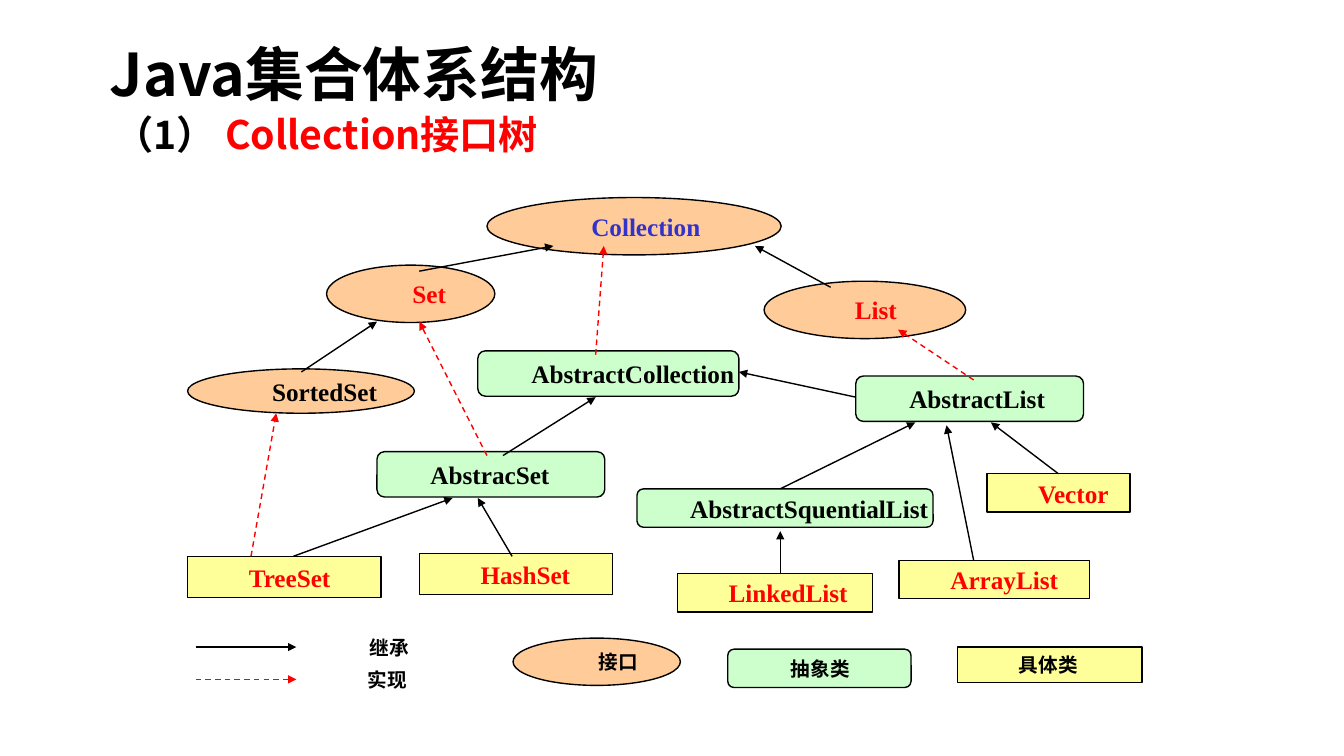
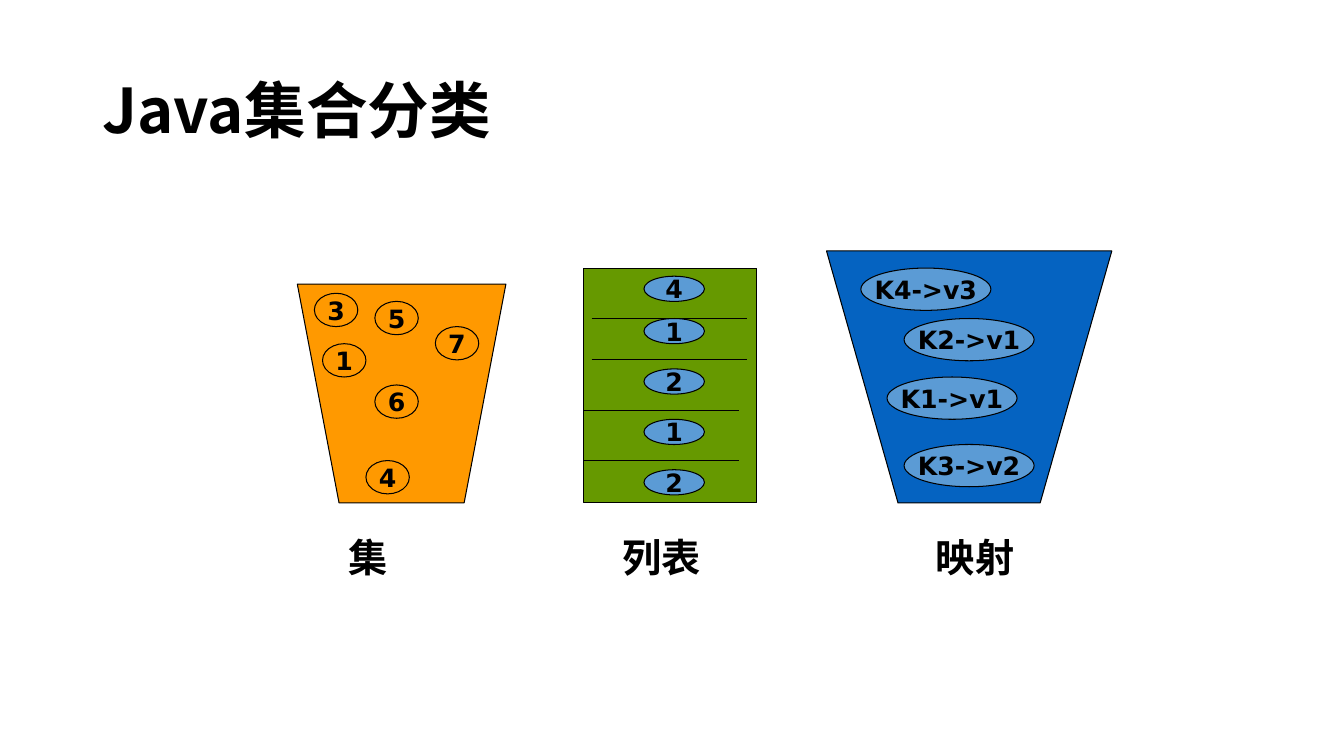
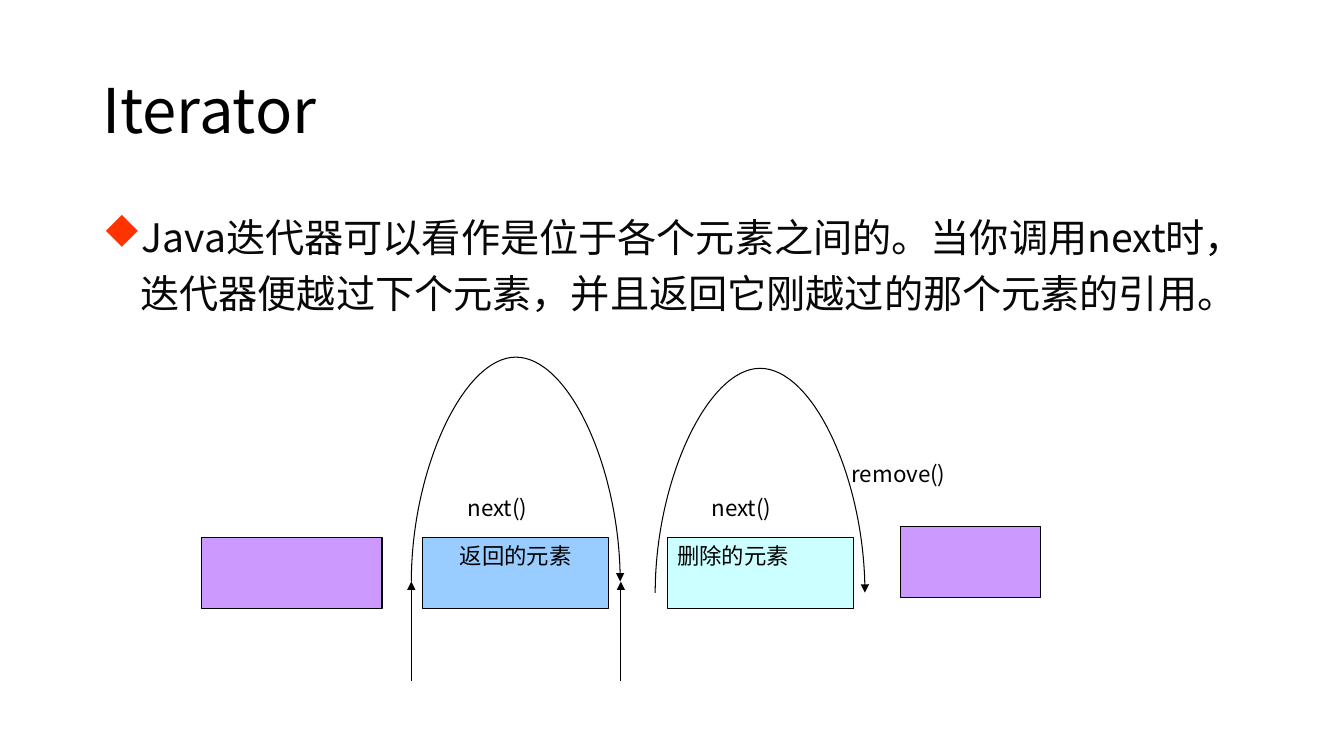
"""Build three slides about the Java collection classes and the iterator."""
from lxml.etree import SubElement
from pptx import Presentation
from pptx.dml.color import RGBColor
from pptx.enum.dml import MSO_LINE
from pptx.enum.shapes import MSO_CONNECTOR, MSO_SHAPE
from pptx.enum.text import MSO_ANCHOR, MSO_AUTO_SIZE, PP_ALIGN
from pptx.oxml.ns import qn
from pptx.util import Pt

BLACK = RGBColor(0x00, 0x00, 0x00)
WHITE = RGBColor(0xFF, 0xFF, 0xFF)
RED = RGBColor(0xFF, 0x00, 0x00)
INDIGO = RGBColor(0x33, 0x33, 0xCC)
PEACH = RGBColor(0xFF, 0xCC, 0x99)
MINT = RGBColor(0xCC, 0xFF, 0xCC)
YELLOW = RGBColor(0xFF, 0xFF, 0x99)
ORANGE = RGBColor(0xFF, 0x99, 0x00)
GREEN = RGBColor(0x66, 0x99, 0x00)
BLUE = RGBColor(0x05, 0x63, 0xC1)
SKY = RGBColor(0x5B, 0x9B, 0xD5)
PURPLE = RGBColor(0xCC, 0x99, 0xFF)
PALE_BLUE = RGBColor(0x99, 0xCC, 0xFF)
PALE_CYAN = RGBColor(0xCC, 0xFF, 0xFF)
INK = RGBColor(0x08, 0x08, 0x08)
BULLET_RED = RGBColor(0xFF, 0x33, 0x00)

SANS, SERIF, DEJAVU = "Noto Sans CJK SC", "Times New Roman", "DejaVu Sans"
BULLET_FONT, DIAMOND = "Wingdings", "u"
LEFT, CENTER, JUSTIFY = PP_ALIGN.LEFT, PP_ALIGN.CENTER, PP_ALIGN.JUSTIFY
OVAL, RECTANGLE = MSO_SHAPE.OVAL, MSO_SHAPE.RECTANGLE

INTERFACE = (OVAL, PEACH)
ABSTRACT = (MSO_SHAPE.ROUNDED_RECTANGLE, MINT)
CONCRETE = (RECTANGLE, YELLOW)
NORMAL, SIDELESS, NO_INSET = (7.2, 3.6), (0, 3.6), (0, 0)

TYPES = [
    ("Collection", INTERFACE, (347.8, 141.1, 210.2, 41), INDIGO, 18, NORMAL),
    ("Set", INTERFACE, (233.3, 189.4, 120.2, 41), RED, 18, NORMAL),
    ("List", INTERFACE, (545.8, 200.9, 144, 41), RED, 18, NORMAL),
    ("SortedSet", INTERFACE, (134, 263.5, 162, 31.7), BLACK, 18, NO_INSET),
    ("AbstractCollection", ABSTRACT, (341.3, 250.6, 186.5, 32.4), BLACK, 18, SIDELESS),
    ("AbstractList", ABSTRACT, (611.3, 268.6, 162.7, 32.4), BLACK, 18, SIDELESS),
    ("AbstracSet", ABSTRACT, (269.3, 322.6, 162.7, 32.4), BLACK, 18, SIDELESS),
    ("AbstractSquentialList", ABSTRACT, (455, 349.2, 211.5, 27.4), BLACK, 18, SIDELESS),
    ("TreeSet", CONCRETE, (134, 397.5, 138.2, 29.5), RED, 18, NORMAL),
    ("HashSet", CONCRETE, (299.5, 395.3, 138.2, 29.5), RED, 18, NORMAL),
    ("Vector", CONCRETE, (704.9, 338.4, 102.2, 27.4), RED, 18, NO_INSET),
    ("LinkedList", CONCRETE, (483.8, 409.7, 139.7, 27.4), RED, 18, NO_INSET),
    ("ArrayList", CONCRETE, (642.2, 400.3, 136.1, 27.4), RED, 18, NO_INSET),
    ("接口", INTERFACE, (366.5, 455.8, 119.5, 33.8), BLACK, 14, NORMAL),
    ("抽象类", ABSTRACT, (519.8, 463.7, 131, 27.4), BLACK, 14, NORMAL),
    ("具体类", CONCRETE, (684, 462.2, 131.8, 25.2), BLACK, 14, NORMAL),
]
EXTENDS = [
    (215.3, 265.7, 269.3, 229.7), (299.5, 193.7, 395.3, 175.7),
    (593.3, 205.2, 539.3, 175.7), (209.5, 397.4, 323.3, 355.7),
    (365.8, 397.4, 341.3, 355.7), (557.3, 409.7, 557.3, 379.4),
    (756, 338.4, 707.8, 301.7), (557.3, 349.2, 653.8, 301.7),
    (611.3, 283.7, 527.8, 265.7), (359.3, 325.4, 425.5, 283.7),
    (695.5, 400.3, 676.1, 303.8), (139.7, 462.2, 211.7, 462.2),
]
IMPLEMENTS = [
    (179.3, 397.4, 197.3, 295.2), (347.8, 325.4, 299.5, 229.7),
    (425.5, 253.4, 431.3, 175.7), (695.5, 271.4, 641.5, 235.4),
    (139.7, 485.3, 211.7, 485.3),
]
ARROW_LEGEND = [("继承", (220.3, 450.7, 90, 23.8)), ("实现", (218.9, 473.8, 84.2, 23.8))]

SET_ITEMS = [("3", 224.6, 209.5), ("5", 267.8, 215.3), ("7", 311, 233.3),
             ("1", 230.4, 245.5), ("6", 267.8, 275), ("4", 261.4, 329)]
LIST_ITEMS = [("4", 460, 197.3), ("1", 460, 227.5), ("2", 460, 263.5),
              ("1", 460, 299.5), ("2", 460, 335.5)]
MAP_ITEMS = [("K4->v3", 614.9, 191.5), ("K2->v1", 645.8, 227.5),
             ("K1->v1", 633.6, 269.3), ("K3->v2", 645.8, 317.5)]
ITEM_GROUPS = [(SET_ITEMS, (31, 23.8), ORANGE), (LIST_ITEMS, (43.2, 18), SKY),
               (MAP_ITEMS, (92.9, 30.2), SKY)]
DIVIDERS = [(422.6, 227.5), (422.6, 257), (416.9, 293), (416.9, 329)]
MAP_OUTLINE = [(590.4, 179.3), (641.5, 359.3), (743, 359.3), (794.2, 179.3)]
KINDS = [("集", 242), ("列表", 437.5), ("映射", 661.5)]

ITERATOR_TEXT = ("Java迭代器可以看作是位于各个元素之间的。当你调用next时，"
                 "迭代器便越过下个元素，并且返回它刚越过的那个元素的引用。")
ELEMENTS = [
    ("", (144, 383.8, 128.9, 51.1), PURPLE, LEFT),
    ("返回的元素", (301.7, 383.8, 133.2, 51.1), PALE_BLUE, CENTER),
    ("删除的元素", (476.6, 383.8, 133.2, 51.1), PALE_CYAN, JUSTIFY),
    ("", (643, 375.8, 100.1, 51.1), PURPLE, LEFT),
]
CALLS = [("next()", (326.9, 352.8, 87.1, 18)), ("next()", (501.1, 352.8, 79.2, 25.9)),
         ("remove()", (601.2, 329, 108, 31.7))]
CURSORS = [293.8, 443.5]
JUMPS = [(293.8, 443, 415.4), (468, 617.8, 423.4)]
JUMP_RISE, JUMP_DEPTH = 161.5, 0.2

deck = Presentation()
deck.slide_width, deck.slide_height = Pt(960), Pt(540)


def points(box):
    return [Pt(length) for length in box]


def style_run(run, size, font, color, bold):
    run.font.size, run.font.name, run.font.bold = Pt(size), font, bold
    run.font.color.rgb = color
    SubElement(run.font._element, qn("a:ea")).set("typeface", SANS)


def write(shape, text, size, font=SANS, color=BLACK, bold=False, align=LEFT,
          anchor=MSO_ANCHOR.TOP, wrap=True, inset=NORMAL):
    frame = shape.text_frame
    frame.text = text
    frame.word_wrap, frame.vertical_anchor = wrap, anchor
    frame.margin_left = frame.margin_right = Pt(inset[0])
    frame.margin_top = frame.margin_bottom = Pt(inset[1])
    paragraph = frame.paragraphs[0]
    paragraph.alignment = align
    for run in paragraph.runs:
        style_run(run, size, font, color, bold)
    return paragraph


def indent(paragraph, margin, first):
    properties = paragraph._p.get_or_add_pPr()
    properties.set("marL", str(Pt(margin)))
    properties.set("indent", str(Pt(first)))
    return properties


def paint(shape, fill, width):
    shape.shadow.inherit = False
    shape.fill.solid()
    shape.fill.fore_color.rgb = fill
    if width:
        shape.line.color.rgb = BLACK
        shape.line.width = Pt(width)
    else:
        shape.line.fill.background()
    return shape


def add_box(slide, preset, box, fill, width=0.75):
    return paint(slide.shapes.add_shape(preset, *points(box)), fill, width)


def add_label(slide, box, text, size, **style):
    return write(slide.shapes.add_textbox(*points(box)), text, size, **style)


def add_line(slide, ends, color=BLACK, width=0.75, dashed=False, arrow=None,
             route=MSO_CONNECTOR.STRAIGHT):
    line = slide.shapes.add_connector(route, *points(ends))
    line.line.color.rgb, line.line.width = color, Pt(width)
    if dashed:
        line.line.dash_style = MSO_LINE.DASH
    if arrow:
        SubElement(line.line._ln, qn(arrow)).set("type", "triangle")
    SubElement(line._element.spPr, qn("a:effectLst"))
    return line


def add_jump(slide, left, right, level):
    middle, half = (left + right) / 2, (right - left) / 2
    ends = (middle - JUMP_DEPTH / 2, level - half, middle + JUMP_DEPTH / 2, level + half)
    properties = add_line(slide, ends, arrow="a:headEnd",
                          route=MSO_CONNECTOR.CURVE)._element.spPr
    properties.find(qn("a:xfrm")).set("rot", "5400000")
    bend = SubElement(properties.find(qn("a:prstGeom")).find(qn("a:avLst")), qn("a:gd"))
    bend.set("name", "adj1")
    bend.set("fmla", f"val {round(-JUMP_RISE / JUMP_DEPTH * 100000)}")


def add_titled_slide(text, box=(66, 28.8, 828, 104.4), size=44, bold=True):
    slide = deck.slides.add_slide(deck.slide_layouts[5])
    title = slide.shapes.title
    title.left, title.top, title.width, title.height = points(box)
    write(title, text, size, bold=bold, anchor=MSO_ANCHOR.MIDDLE).line_spacing = 0.9
    title.text_frame.auto_size = MSO_AUTO_SIZE.NONE
    return slide


def build_hierarchy():
    slide = add_titled_slide("Java集合体系结构", (71.3, 10.1, 672.5, 90), 42)
    for name, (preset, fill), box, color, size, inset in TYPES:
        node = add_box(slide, preset, box, fill, 1)
        indent(write(node, name, size, SERIF, color, True,
                     anchor=MSO_ANCHOR.MIDDLE, inset=inset), 59, -22.3)
    for ends in EXTENDS:
        add_line(slide, ends, width=1, arrow="a:tailEnd")
    for ends in IMPLEMENTS:
        add_line(slide, ends, RED, 1, dashed=True, arrow="a:tailEnd")
    for meaning, box in ARROW_LEGEND:
        indent(add_label(slide, box, meaning, 14, font=SERIF, bold=True), 59, -22.3)
    subtitle = add_label(slide, (74.9, 75.6, 442, 41), "（1） ", 28, bold=True)
    tree_name = subtitle.add_run()
    tree_name.text = "Collection接口树"
    style_run(tree_name, 28, SANS, RED, True)


def build_kinds():
    slide = add_titled_slide("Java集合分类")
    add_box(slide, MSO_SHAPE.FLOWCHART_MANUAL_OPERATION, (212.4, 203, 149, 156.2), ORANGE)
    add_box(slide, RECTANGLE, (416.9, 191.5, 123.8, 167.8), GREEN)
    for left, top in DIVIDERS:
        add_line(slide, (left, top, left + 111.2, top))
    corners = [points(corner) for corner in MAP_OUTLINE]
    outline = slide.shapes.build_freeform(*corners[0])
    outline.add_line_segments(corners[1:], close=True)
    paint(outline.convert_to_shape(), BLUE, 0.75)
    for items, size, fill in ITEM_GROUPS:
        for value, left, top in items:
            item = add_box(slide, OVAL, (left, top, *size), fill)
            write(item, value, 18, DEJAVU, BLACK, True, CENTER, MSO_ANCHOR.MIDDLE, wrap=False)
    for kind, left in KINDS:
        add_label(slide, (left, 377.3, 100, 41), kind, 28, font=DEJAVU, bold=True)


def build_iterator():
    slide = add_titled_slide("Iterator", bold=False)
    body = add_label(slide, (66.2, 141.8, 847.4, 374.4), ITERATOR_TEXT, 28, color=INK)
    body.line_spacing = 1.2
    properties = indent(body, 27, -27)
    bullet_color = SubElement(properties, qn("a:buClr"))
    SubElement(bullet_color, qn("a:srgbClr")).set("val", str(BULLET_RED))
    bullet_font = SubElement(properties, qn("a:buFont"))
    bullet_font.set("typeface", BULLET_FONT)
    bullet_font.set("charset", "2")
    SubElement(properties, qn("a:buChar")).set("char", DIAMOND)
    for text, box, fill, align in ELEMENTS:
        element = add_box(slide, RECTANGLE, box, fill)
        if text:
            write(element, text, 16, align=align)
    for cursor in CURSORS:
        add_line(slide, (cursor, 486.7, cursor, 415.4), arrow="a:tailEnd")
    for call, box in CALLS:
        write(add_box(slide, RECTANGLE, box, WHITE, 0), call, 16, align=JUSTIFY, inset=(7.2, 0))
    for jump in JUMPS:
        add_jump(slide, *jump)


build_hierarchy()
build_kinds()
build_iterator()
deck.save("out.pptx")
